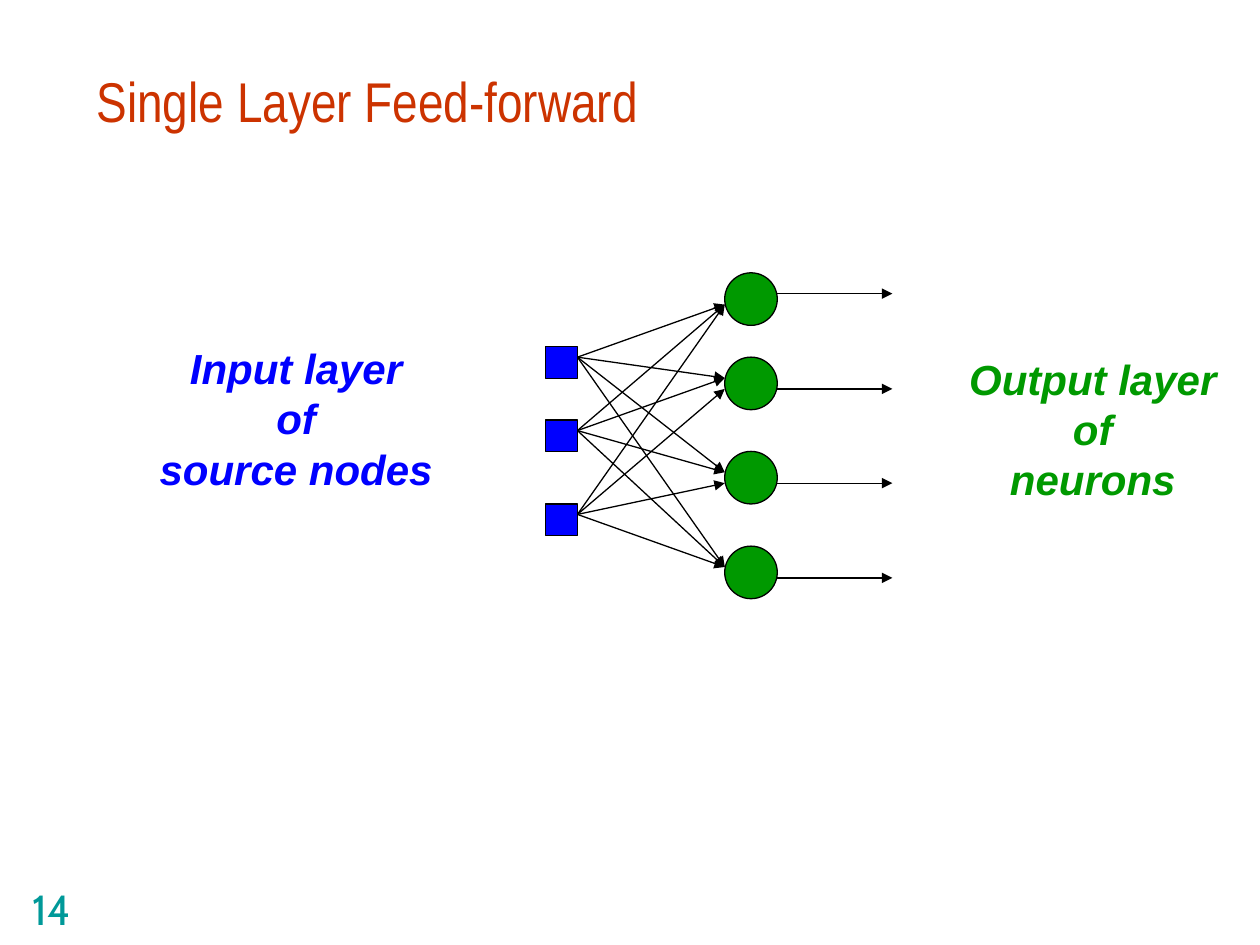
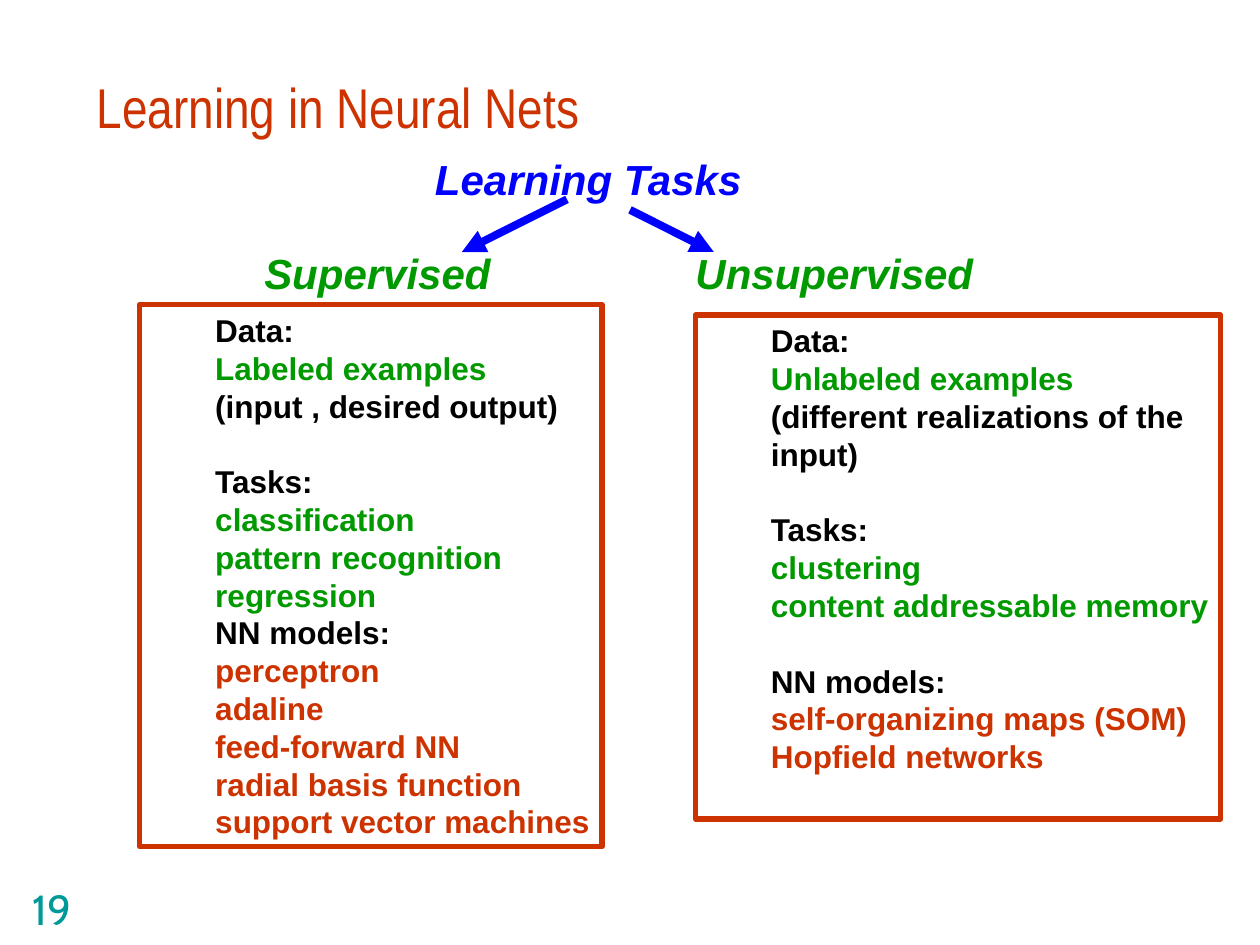
from dataclasses import dataclass

from pptx import Presentation
from pptx.dml.color import RGBColor
from pptx.enum.shapes import MSO_CONNECTOR, MSO_SHAPE
from pptx.enum.text import MSO_ANCHOR, PP_ALIGN
from pptx.oxml.ns import qn
from pptx.util import Cm, Pt
from lxml import etree

RECTANGLE, OVAL = MSO_SHAPE.RECTANGLE, MSO_SHAPE.OVAL
STRAIGHT = MSO_CONNECTOR.STRAIGHT
TOP, BOTTOM = MSO_ANCHOR.TOP, MSO_ANCHOR.BOTTOM
LEFT, CENTER = PP_ALIGN.LEFT, PP_ALIGN.CENTER


@dataclass(frozen=True)
class Theme:
    red: str = "CC3300"
    blue: str = "0000FF"
    green: str = "009900"
    teal: str = "009999"
    black: str = "000000"
    title_font: str = "Arial Narrow"
    body_font: str = "Arial"
    number_font: str = "Cabin"
    title_size: int = 32
    label_size: int = 24
    body_size: int = 18
    leading: float = 1.2
    thin: float = 0.75
    panel_line: float = 3
    thick: float = 4.5
    inset: float = 0.25
    edge: float = 0.13
    indent: float = 1.27


THEME = Theme()


class Deck:
    """Holds the theme and the current page."""

    def __init__(self, theme):
        self.theme = theme
        self.file = Presentation()
        self.file.slide_width, self.file.slide_height = Cm(25.4), Cm(19.05)
        self.page = None

    def add_page(self, title, number, title_top=0.2):
        theme = self.theme
        self.page = self.file.slides.add_slide(self.file.slide_layouts[6])
        self.text((0.41, 17.68, 5.28, 1.27), [number], theme.teal,
                  theme.label_size, theme.number_font)
        self.text((1.7, title_top, 21.59, 2.75), [title], theme.red,
                  theme.title_size, theme.title_font)

    def frame(self, shape, anchor, left):
        frame = shape.text_frame
        settings = {"word_wrap": True, "vertical_anchor": anchor,
                    "margin_left": Cm(left), "margin_right": 0,
                    "margin_top": Cm(self.theme.edge), "margin_bottom": Cm(self.theme.edge)}
        for name, value in settings.items():
            setattr(frame, name, value)
        return frame

    def paragraph(self, frame, first, text, color, size, font, **layout):
        para = frame.paragraphs[0] if first else frame.add_paragraph()
        for name, value in layout.items():
            setattr(para, name, value)
        span = para.add_run()
        span.text = text
        span.font.name, span.font.size = font, Pt(size)
        span.font.color.rgb = RGBColor.from_string(color)
        return para, span

    def text(self, place, lines, color, size, font):
        box = self.page.shapes.add_textbox(*map(Cm, place))
        frame = self.frame(box, BOTTOM, self.theme.inset)
        for index, line in enumerate(lines):
            self.paragraph(frame, index == 0, line, color, size, font, alignment=LEFT)

    def label(self, place, lines, color):
        theme = self.theme
        box = self.page.shapes.add_textbox(*map(Cm, place))
        frame = self.frame(box, TOP, 0)
        for index, line in enumerate(lines):
            _, span = self.paragraph(
                frame, index == 0, line, color, theme.label_size, theme.body_font,
                alignment=CENTER, line_spacing=Pt(theme.label_size * theme.leading))
            span.font.bold = span.font.italic = True

    def shape(self, kind, place, fill, line, width):
        shape = self.page.shapes.add_shape(kind, *map(Cm, place))
        shape.shadow.inherit = False
        if fill:
            shape.fill.solid()
            shape.fill.fore_color.rgb = RGBColor.from_string(fill)
        else:
            shape.fill.background()
        shape.line.color.rgb = RGBColor.from_string(line)
        shape.line.width = Pt(width)
        return shape

    def panel(self, place, groups):
        """Outlined list; each group is (colour, gap above, lines)."""
        theme = self.theme
        box = self.shape(RECTANGLE, place, None, theme.red, theme.panel_line)
        frame = self.frame(box, TOP, theme.inset + theme.indent)
        pitch = Pt(theme.body_size * theme.leading)
        first = True
        for color, gap, lines in groups:
            for index, line in enumerate(lines):
                _, span = self.paragraph(
                    frame, first, line, color, theme.body_size, theme.body_font,
                    alignment=LEFT, line_spacing=pitch,
                    space_before=pitch if gap and index == 0 else Pt(0))
                span.font.bold = True
                first = False

    def arrow(self, start, end, color, width):
        line = self.page.shapes.add_connector(STRAIGHT, *map(Cm, (*start, *end)))
        line.line.color.rgb = RGBColor.from_string(color)
        line.line.width = Pt(width)
        etree.SubElement(line.line._get_or_add_ln(), qn("a:tailEnd"), type="triangle")
        etree.SubElement(line._element.spPr, qn("a:effectLst"))


def feed_forward_page(deck):
    theme = deck.theme
    deck.add_page("Single Layer Feed-forward", "14", title_top=0.08)
    deck.label((2.97, 6.77, 6, 3.3), ["Input layer", "of", "source nodes"], theme.blue)
    deck.label((19.28, 6.99, 5.5, 3.3), ["Output layer", "of", "neurons"], theme.green)

    # Nodes
    input_left, input_size, input_tops = 11, 0.64, (6.99, 8.47, 10.16)
    neuron_left, neuron_size, neuron_tops = 14.61, 1.06, (5.5, 7.2, 9.1, 11.01)
    for top in input_tops:
        deck.shape(RECTANGLE, (input_left, top, input_size, input_size),
                   theme.blue, theme.black, theme.thin)
    for top in neuron_tops:
        deck.shape(OVAL, (neuron_left, top, neuron_size, neuron_size),
                   theme.green, theme.black, theme.thin)

    # Every input feeds every neuron, slightly off the node centres
    high, low = 0.42, 0.64
    for source, input_top in enumerate(input_tops):
        middle = low if source == 2 else high
        for top, entry in zip(neuron_tops, (low, middle, middle, high)):
            deck.arrow((input_left + input_size, input_top + 0.21),
                       (neuron_left, top + entry), theme.black, theme.thin)

    # Outputs
    for top, leave in zip(neuron_tops, (high, low, low, low)):
        deck.arrow((neuron_left + neuron_size, top + leave), (17.99, top + leave),
                   theme.black, theme.thin)


def learning_page(deck):
    theme = deck.theme
    deck.add_page("Learning in Neural Nets", "19")
    deck.label((8.51, 2.97, 6.7, 1.27), ["Learning Tasks"], theme.blue)
    deck.label((5.08, 4.87, 5.06, 1.27), ["Supervised"], theme.green)
    deck.label((13.77, 4.87, 6.1, 1.27), ["Unsupervised"], theme.green)

    # Panels
    deck.panel((2.82, 6.14, 9.32, 10.93), [
        (theme.black, False, ["Data:"]),
        (theme.green, False, ["Labeled examples"]),
        (theme.black, False, ["(input , desired output)"]),
        (theme.black, True, ["Tasks:"]),
        (theme.green, False, ["classification", "pattern recognition", "regression"]),
        (theme.black, False, ["NN models:"]),
        (theme.red, False, ["perceptron", "adaline", "feed-forward NN",
                            "radial basis function", "support vector machines"]),
    ])
    deck.panel((14.02, 6.35, 10.59, 10.16), [
        (theme.black, False, ["Data:"]),
        (theme.green, False, ["Unlabeled examples"]),
        (theme.black, False, ["(different realizations of the", "input)"]),
        (theme.black, True, ["Tasks:"]),
        (theme.green, False, ["clustering", "content addressable memory"]),
        (theme.black, True, ["NN models:"]),
        (theme.red, False, ["self-organizing maps (SOM)", "Hopfield networks"]),
    ])

    # Branches
    for start, end in (((11.43, 4.02), (9.31, 5.08)), ((12.7, 4.23), (14.39, 5.08))):
        deck.arrow(start, end, theme.blue, theme.thick)


def main():
    deck = Deck(THEME)
    feed_forward_page(deck)
    learning_page(deck)
    deck.file.save("out.pptx")


if __name__ == "__main__":
    main()
